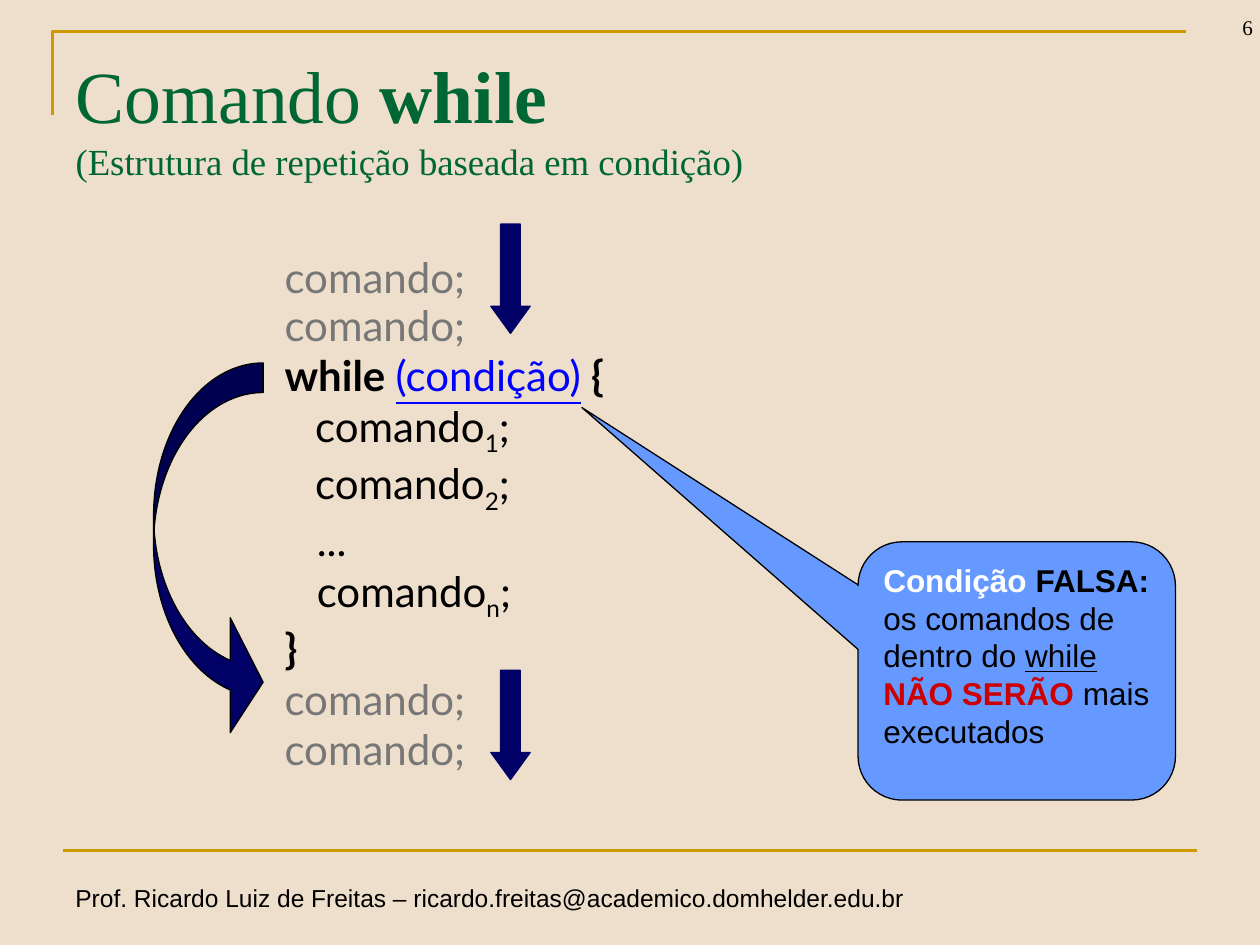
"""Build a slide on the while command and what happens when its condition is false."""
from lxml import etree
from pptx import Presentation
from pptx.dml.color import RGBColor
from pptx.enum.shapes import MSO_CONNECTOR, MSO_SHAPE
from pptx.enum.text import MSO_ANCHOR, PP_ALIGN
from pptx.oxml.ns import qn
from pptx.util import Pt

DOWN_ARROW = MSO_SHAPE.DOWN_ARROW
CALLOUT = MSO_SHAPE.ROUNDED_RECTANGULAR_CALLOUT
CURVED_ARROW = MSO_SHAPE.CURVED_RIGHT_ARROW
STRAIGHT = MSO_CONNECTOR.STRAIGHT
TOP, MIDDLE, BOTTOM = MSO_ANCHOR.TOP, MSO_ANCHOR.MIDDLE, MSO_ANCHOR.BOTTOM
LEFT, RIGHT = PP_ALIGN.LEFT, PP_ALIGN.RIGHT

SAND = RGBColor(0xEE, 0xDF, 0xCC)
GOLD = RGBColor(0xCC, 0x99, 0x00)
GREEN = RGBColor(0x00, 0x66, 0x33)
NAVY = RGBColor(0x00, 0x00, 0x66)
SKY = RGBColor(0x66, 0x99, 0xFF)
BLUE = RGBColor(0x00, 0x00, 0xFF)
RED = RGBColor(0xCC, 0x00, 0x00)
GREY = RGBColor(0x77, 0x77, 0x77)
BLACK = RGBColor(0x00, 0x00, 0x00)
WHITE = RGBColor(0xFF, 0xFF, 0xFF)
SERIF, SANS, CODE = "Times New Roman", "Arial", "Lato"


def add_run(paragraph, text, font, size, color=BLACK, bold=False, underline=False, subscript=False):
    run = paragraph.add_run()
    run.text = text
    run.font.name = font
    run.font.size = Pt(size)
    run.font.color.rgb = color
    run.font.bold = bold
    run.font.underline = underline
    if subscript:
        run._r.get_or_add_rPr().set("baseline", "-25000")


def add_filled(preset, box, adjustments, fill, line):
    shape = slide.shapes.add_shape(preset, *[Pt(v) for v in box])
    shape.shadow.inherit = False
    for index, value in enumerate(adjustments):
        shape.adjustments[index] = value
    shape.fill.solid()
    shape.fill.fore_color.rgb = fill
    shape.line.color.rgb = line
    shape.line.width = Pt(0.75)
    return shape


prs = Presentation()
prs.slide_width, prs.slide_height = Pt(720), Pt(540)
slide = prs.slides.add_slide(prs.slide_layouts[5])
slide.background.fill.solid()
slide.background.fill.fore_color.rgb = SAND

builder = slide.shapes.build_freeform(Pt(30), Pt(66))
builder.add_line_segments([(Pt(30), Pt(18)), (Pt(678), Pt(18))], close=False)
corner = builder.convert_to_shape()
corner.shadow.inherit = False
corner.fill.background()
footer_rule = slide.shapes.add_connector(STRAIGHT, Pt(36), Pt(486), Pt(684), Pt(486))
etree.SubElement(footer_rule._element.spPr, qn("a:effectLst"))
for rule in (corner, footer_rule):
    rule.line.color.rgb = GOLD
    rule.line.width = Pt(1.5)

footer = slide.shapes.add_textbox(Pt(36), Pt(501), Pt(494), Pt(24.5)).text_frame
footer.word_wrap = False
add_run(footer.paragraphs[0],
        "Prof. Ricardo Luiz de Freitas – ricardo.freitas@academico.domhelder.edu.br", SANS, 14)

page = slide.shapes.add_textbox(Pt(669), Pt(-10), Pt(54), Pt(36)).text_frame
page.word_wrap = True
page.vertical_anchor = BOTTOM
page.paragraphs[0].alignment = RIGHT
add_run(page.paragraphs[0], "6", SERIF, 12)

title = slide.shapes.title
title.left, title.top, title.width, title.height = Pt(36), Pt(21.6), Pt(648), Pt(90)
title.text_frame.vertical_anchor = MIDDLE
heading = title.text_frame.paragraphs[0]
heading.alignment = LEFT
add_run(heading, "Comando ", SERIF, 42, GREEN)
add_run(heading, "while", SERIF, 42, GREEN, bold=True)
heading.add_line_break()
add_run(heading, "(Estrutura de repetição baseada em condição)", SERIF, 21, GREEN)

outside = [("comando;", {"color": GREY})]
code_lines = [
    outside,
    outside,
    [("while ", {"bold": True}), ("(condição)", {"color": BLUE, "underline": True}),
     (" {", {"bold": True})],
    [("   ", {"bold": True}), ("comando", {}), ("1", {"subscript": True}), (";", {})],
    [("   ", {"bold": True}), ("comando", {}), ("2", {"subscript": True}), (";", {})],
    [("   ...", {})],
    [("   comando", {}), ("n", {"subscript": True}), (";", {})],
    [("}", {"bold": True})],
    outside,
    outside,
]
code = slide.shapes.add_textbox(Pt(155.5), Pt(145.5), Pt(527), Pt(292)).text_frame
code.word_wrap = True
for number, runs in enumerate(code_lines):
    line = code.add_paragraph() if number else code.paragraphs[0]
    if number < 2:
        line.line_spacing = 0.8
    if number == 1:
        line.space_before = Pt(4.8)
    for text, style in runs:
        add_run(line, text, CODE, 24, **style)

for arrow_top in (128, 383):
    add_filled(DOWN_ARROW, (280.5, arrow_top, 22.5, 62.5), (0.5, 0.69), NAVY, NAVY)
add_filled(CURVED_ARROW, (87.8, 207.4, 62.6, 215.3), (0.27, 1.05, 0.3), NAVY, BLACK)

callout = add_filled(CALLOUT, (490.3, 309.6, 181.4, 147.6), (-1.37, -1.02, 0.17), SKY, BLACK)
callout.text_frame.word_wrap = True
callout.text_frame.vertical_anchor = TOP
message = callout.text_frame.paragraphs[0]
message.alignment = LEFT
for text, style in [
    ("Condição", {"color": WHITE, "bold": True}),
    (" FALSA: ", {"bold": True}),
    ("os comandos de dentro do ", {}),
    ("while", {"underline": True}),
    (" ", {}),
    ("NÃO SERÃO", {"color": RED, "bold": True}),
    (" mais executados", {}),
]:
    add_run(message, text, SANS, 18, **style)

prs.save("out.pptx")
